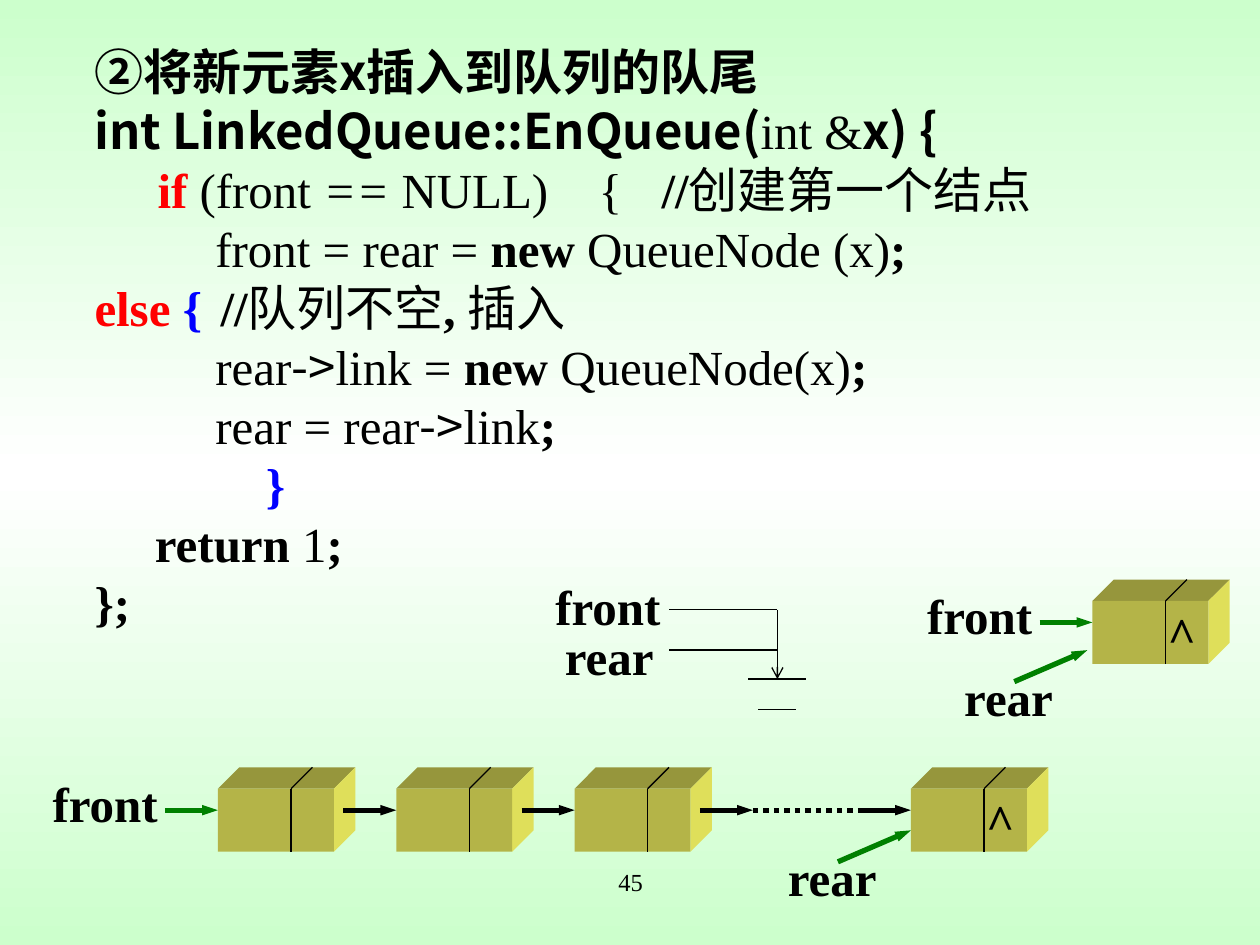
from lxml import etree
from copy import deepcopy
from pptx import Presentation
from pptx.dml.color import RGBColor
from pptx.enum.dml import MSO_LINE
from pptx.enum.shapes import MSO_CONNECTOR, MSO_SHAPE
from pptx.enum.text import MSO_ANCHOR, PP_ALIGN
from pptx.oxml.ns import qn
from pptx.util import Inches, Pt

SERIF = "Times New Roman"
CJK = "Noto Sans CJK SC"
BLACK = RGBColor(0x00, 0x00, 0x00)
WHITE = RGBColor(0xFF, 0xFF, 0xFF)
RED = RGBColor(0xFF, 0x00, 0x00)
BLUE = RGBColor(0x00, 0x00, 0xFF)
GREEN = RGBColor(0x00, 0x80, 0x00)
MINT = RGBColor(0xCC, 0xFF, 0xCC)
FRONT_FACE = RGBColor(0xB4, 0xB4, 0x48)
TOP_FACE = RGBColor(0x96, 0x96, 0x3C)
SIDE_FACE = RGBColor(0xDF, 0xDF, 0x5A)

NODE_W, NODE_H, DEPTH, SPLIT = 0.92, 0.5, 0.17, 0.58
ARROW_W = 0.42

PLAIN = {"bold": False}
HEAD = {"font": CJK}
OPERATOR = {"font": CJK, "bold": False}

# indent, tab stops, runs
CODE = [
    (0, [], [("②将新元素x插入到队列的队尾", HEAD)]),
    (0, [], [("int LinkedQueue::EnQueue(", HEAD), ("int &", PLAIN), ("x) {", HEAD)]),
    (0, [0.19, 3.5, 5.8], [("\tif", {"color": RED}), (" (front ", PLAIN),
                           ("==", {"bold": False, "italic": True}),
                           (" NULL)\t{\t", PLAIN), ("//", {}), ("创建第一个结点", PLAIN)]),
    (0.96, [], [("front = rear = ", PLAIN), ("new ", {}), ("QueueNode (x)", PLAIN), (";", {})]),
    (0, [5.5], [("else ", {"color": RED}), ("{\t", {"color": BLUE}), ("//", {}),
                ("队列不空", PLAIN), (", ", {}), ("插入", PLAIN)]),
    (0.96, [], [("rear", PLAIN), ("->", OPERATOR), ("link = ", PLAIN), ("new ", {}),
                ("QueueNode(x)", PLAIN), (";", {})]),
    (0.96, [], [("rear = rear", PLAIN), ("->", OPERATOR), ("link", PLAIN), (";", {})]),
    (1.36, [], [("}", {"color": BLUE})]),
    (0.48, [], [("return ", {}), ("1", PLAIN), (";", {})]),
    (0, [], [("};", {})]),
]


def add_run(p, text, size=28, font=SERIF, bold=True, italic=False, color=BLACK):
    r = p.add_run()
    r.text = text
    f = r.font
    f.size, f.name, f.bold, f.italic = Pt(size), font, bold, italic
    f.color.rgb = color
    ea = etree.SubElement(r._r.get_or_add_rPr(), qn("a:ea"))
    ea.set("typeface", CJK)


def add_label(s, text, x, y, w, h=0.57, **style):
    tf = s.shapes.add_textbox(Inches(x), Inches(y), Inches(w), Inches(h)).text_frame
    tf.word_wrap = False
    p = tf.paragraphs[0]
    p.alignment = PP_ALIGN.CENTER
    add_run(p, text, **style)


def add_line(s, x1, y1, x2, y2, color=BLACK, width=0.75, head=None, dash=None):
    c = s.shapes.add_connector(MSO_CONNECTOR.STRAIGHT, Inches(x1), Inches(y1),
                               Inches(x2), Inches(y2))
    c.line.color.rgb = color
    c.line.width = Pt(width)
    if dash:
        c.line.dash_style = dash
    if head:
        tail = etree.SubElement(c.line._get_or_add_ln(), qn("a:tailEnd"))
        tail.set("type", head)
        tail.set("w", "sm" if head == "triangle" else "med")
    etree.SubElement(c._element.spPr, qn("a:effectLst"))


def paint(sp, color):
    sp.shadow.inherit = False
    sp.fill.solid()
    sp.fill.fore_color.rgb = color
    sp.line.fill.background()


def add_face(s, points, color):
    corners = [(Inches(x), Inches(y)) for x, y in points]
    builder = s.shapes.build_freeform(*corners[0])
    builder.add_line_segments(corners[1:], close=True)
    paint(builder.convert_to_shape(), color)


def add_node(s, x, y, last=False):
    right, bottom = x + NODE_W, y + NODE_H
    add_face(s, [(x, y), (x + DEPTH, y - DEPTH), (right + DEPTH, y - DEPTH), (right, y)],
             TOP_FACE)
    add_face(s, [(right, y), (right + DEPTH, y - DEPTH),
                 (right + DEPTH, bottom - DEPTH), (right, bottom)], SIDE_FACE)
    sp = s.shapes.add_shape(MSO_SHAPE.RECTANGLE, Inches(x), Inches(y),
                            Inches(NODE_W), Inches(NODE_H))
    paint(sp, FRONT_FACE)
    if last:
        tf = sp.text_frame
        tf.word_wrap = False
        tf.vertical_anchor = MSO_ANCHOR.MIDDLE
        tf.margin_right = Inches(0.1)
        p = tf.paragraphs[0]
        p.alignment = PP_ALIGN.RIGHT
        add_run(p, "^")
    add_line(s, x + SPLIT, y, x + SPLIT, bottom)
    add_line(s, x + SPLIT, y, x + SPLIT + DEPTH, y - DEPTH)


def add_arrow_into(s, x, y, color=BLACK):
    add_line(s, x - ARROW_W, y + DEPTH, x, y + DEPTH, color, 3, "triangle")


def add_front(s, x, y):
    add_label(s, "front", x - 1.42, y - 0.17, 1.05)
    add_arrow_into(s, x, y, GREEN)


def add_rear(s, x, y):
    add_label(s, "rear", x - 1.08, y + 0.42, 0.91)
    add_line(s, x - 0.58, y + 0.58, x, y + 0.33, GREEN, 3, "triangle")


def add_code(s, x, y, w, h):
    body = s.placeholders[1]
    body.left, body.top, body.width, body.height = map(Inches, (x, y, w, h))
    tf = body.text_frame
    tf.margin_top = Inches(0.1)
    for i, (indent, tabs, runs) in enumerate(CODE):
        p = tf.paragraphs[0] if i == 0 else tf.add_paragraph()
        p.line_spacing = Pt(33.7)
        p.space_before = Pt(0)
        pPr = p._p.get_or_add_pPr()
        pPr.set("marL", str(Inches(indent)))
        pPr.set("indent", "0")
        etree.SubElement(pPr, qn("a:buNone"))
        if tabs:
            stops = etree.SubElement(pPr, qn("a:tabLst"))
            for pos in tabs:
                etree.SubElement(stops, qn("a:tab"), pos=str(Inches(pos)), algn="l")
        for text, style in runs:
            add_run(p, text, **style)


def add_empty_queue(s, x, y):
    add_label(s, "front", x, y, 1.05)
    add_label(s, "rear", x + 0.08, y + 0.39, 0.91)
    stem = x + 1.87
    for dy in (0.31, 0.63):
        add_line(s, x + 1.01, y + dy, stem, y + dy)
    add_line(s, stem, y + 0.31, stem, y + 0.86, head="arrow")
    for half, dy in ((0.23, 0.86), (0.15, 1.1)):
        add_line(s, stem - half, y + dy, stem + half, y + dy)


def add_single_queue(s, x, y):
    add_node(s, x, y, last=True)
    add_front(s, x, y)
    add_rear(s, x - 0.04, y + 0.06)


def add_long_queue(s, x, y):
    pitch, last_x = 1.415, x + 5.5
    starts = [x + i * pitch for i in range(3)]
    for nx in starts:
        add_node(s, nx, y)
    add_node(s, last_x, y, last=True)
    gap_x = x + 3 * pitch
    for nx in starts[1:] + [gap_x, last_x]:
        add_arrow_into(s, nx, y)
    add_line(s, gap_x, y + DEPTH, last_x - ARROW_W, y + DEPTH, width=3,
             dash=MSO_LINE.ROUND_DOT)
    add_front(s, x, y)
    add_rear(s, last_x, y)


def set_background(s):
    fill = s.background.fill
    fill.gradient()
    fill.gradient_angle = 90
    first, last = fill.gradient_stops
    first.color.rgb = WHITE
    last.color.rgb = MINT
    stops = s._element.find(".//" + qn("a:gsLst"))
    stops[0].set("pos", "50000")
    edge = deepcopy(stops[1])
    edge.set("pos", "0")
    stops.insert(0, edge)


def main():
    prs = Presentation()
    prs.slide_width, prs.slide_height = Inches(10), Inches(7.5)
    s = prs.slides.add_slide(prs.slide_layouts[1])
    title = s.shapes.title._element
    title.getparent().remove(title)
    set_background(s)
    add_code(s, 0.65, 0.23, 9.35, 6.78)
    add_empty_queue(s, 4.3, 4.53)
    add_single_queue(s, 8.67, 4.77)
    add_long_queue(s, 1.73, 6.26)
    add_label(s, "45", 3.42, 6.83, 3.17, 0.5, size=14, bold=False)
    prs.save("out.pptx")


if __name__ == "__main__":
    main()
